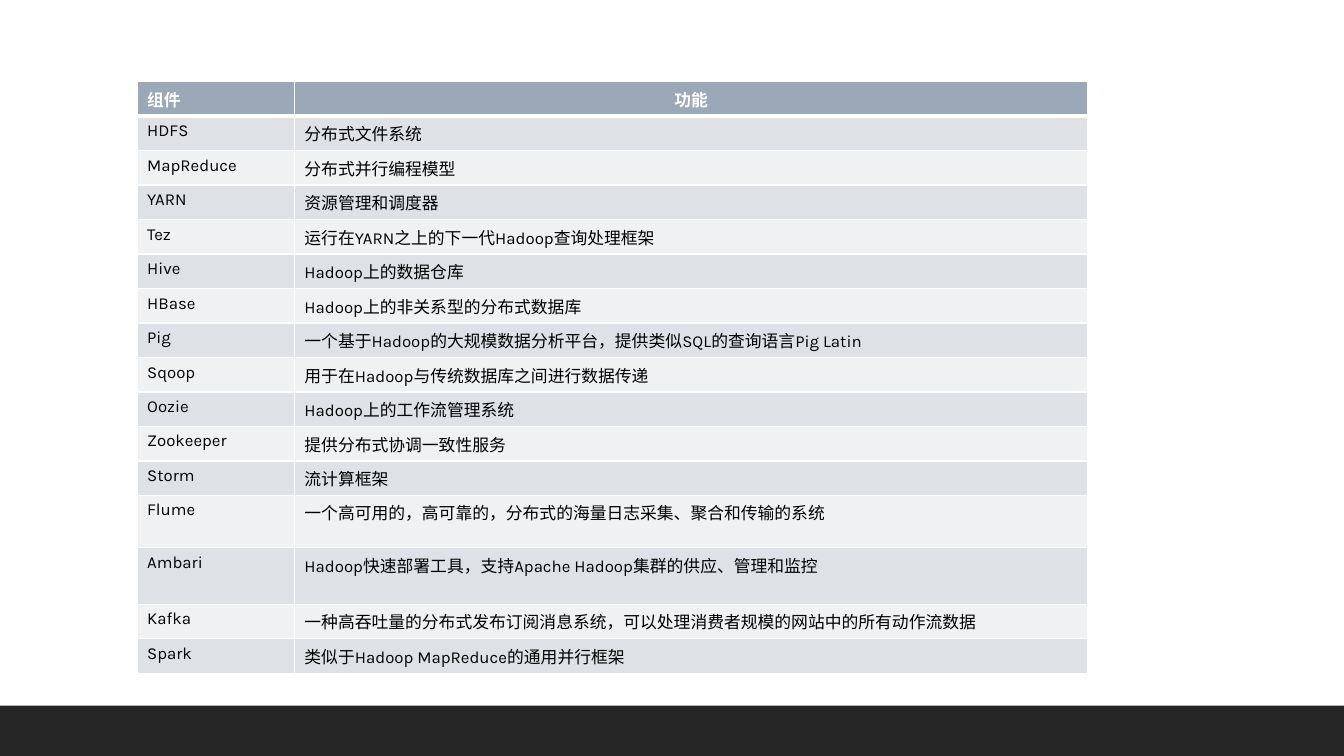
from dataclasses import dataclass

from lxml import etree
from pptx import Presentation
from pptx.dml.color import RGBColor
from pptx.enum.shapes import MSO_SHAPE
from pptx.enum.text import PP_ALIGN
from pptx.oxml.ns import qn
from pptx.util import Inches, Pt

RECT = MSO_SHAPE.RECTANGLE
LEFT, CENTER = PP_ALIGN.LEFT, PP_ALIGN.CENTER
WIDTH, HEIGHT = Inches(13.33), Inches(7.5)


@dataclass(frozen=True)
class Theme:
    font: str = "Karla"
    size: int = 12
    white: str = "FFFFFF"
    ink: str = "000000"
    bar: str = "262626"
    head: str = "9BA8B7"
    bands: tuple = ("DEE1E6", "EFF1F3")
    thin: int = 1
    thick: int = 3


def paint(fill, color):
    fill.solid()
    fill.fore_color.rgb = RGBColor.from_string(color)


def write(frame, text, *, font, size, color, bold=False, align=LEFT):
    para = frame.paragraphs[0]
    para.alignment = align
    run = para.add_run()
    run.text = text
    run.font.name = font
    run.font.size = Pt(size)
    run.font.bold = bold
    run.font.color.rgb = RGBColor.from_string(color)


def edge(cell, side, color, width):
    """Draw one cell border; side is L, R, T or B."""
    props = cell._tc.get_or_add_tcPr()
    line = etree.SubElement(props, qn(f"a:ln{side}"), w=str(Pt(width)))
    solid = etree.SubElement(line, qn("a:solidFill"))
    etree.SubElement(solid, qn("a:srgbClr"), val=color)


class Page:
    """Places elements by shares of the slide's width and height."""

    def __init__(self, slide, theme):
        self.slide = slide
        self.theme = theme

    def box(self, x, y, w, h):
        return (round(x * WIDTH), round(y * HEIGHT),
                round(w * WIDTH), round(h * HEIGHT))

    def bar(self, x, y, w, h):
        shape = self.slide.shapes.add_shape(RECT, *self.box(x, y, w, h))
        shape.shadow.inherit = False
        paint(shape.fill, self.theme.bar)
        shape.line.fill.background()

    def cell(self, cell, text, row, align):
        look = self.theme
        top = look.thick if row == 1 else look.thin
        base = look.thick if row == 0 else look.thin
        for side, width in zip("LRTB", (look.thin, look.thin, top, base)):
            edge(cell, side, look.white, width)
        head = row == 0
        paint(cell.fill, look.head if head else look.bands[(row - 1) % 2])
        write(cell.text_frame, text, font=look.font, size=look.size,
              color=look.white if head else look.ink, bold=head, align=align)

    def table(self, x, y, w, h, data, cols, tall):
        """Fill a table; cols are shares of w, tall maps rows to shares of h."""
        left, top, wide, high = self.box(x, y, w, h)
        grid = self.slide.shapes.add_table(
            len(data), len(cols), left, top, wide, high).table
        for col, share in zip(grid.columns, cols):
            col.width = round(share * wide)
        plain = (1 - sum(tall.values())) / (len(data) - len(tall))
        for i, texts in enumerate(data):
            grid.rows[i].height = round(tall.get(texts[0], plain) * high)
            for j, text in enumerate(texts):
                align = CENTER if i == 0 and j == 1 else LEFT
                self.cell(grid.cell(i, j), text, i, align)


PARTS = [
    ("组件", "功能"),
    ("HDFS", "分布式文件系统"),
    ("MapReduce", "分布式并行编程模型"),
    ("YARN", "资源管理和调度器"),
    ("Tez", "运行在YARN之上的下一代Hadoop查询处理框架"),
    ("Hive", "Hadoop上的数据仓库"),
    ("HBase", "Hadoop上的非关系型的分布式数据库"),
    ("Pig", "一个基于Hadoop的大规模数据分析平台，提供类似SQL的查询语言Pig Latin"),
    ("Sqoop", "用于在Hadoop与传统数据库之间进行数据传递"),
    ("Oozie", "Hadoop上的工作流管理系统"),
    ("Zookeeper", "提供分布式协调一致性服务"),
    ("Storm", "流计算框架"),
    ("Flume", "一个高可用的，高可靠的，分布式的海量日志采集、聚合和传输的系统"),
    ("Ambari", "Hadoop快速部署工具，支持Apache Hadoop集群的供应、管理和监控"),
    ("Kafka", "一种高吞吐量的分布式发布订阅消息系统，可以处理消费者规模的网站中的所有动作流数据"),
    ("Spark", "类似于Hadoop MapReduce的通用并行框架"),
]


def main():
    deck = Presentation()
    deck.slide_width, deck.slide_height = WIDTH, HEIGHT
    page = Page(deck.slides.add_slide(deck.slide_layouts[6]), Theme())
    page.bar(0, 14 / 15, 1, 1 / 15)
    page.table(1.36 / 13.33, 0.81 / 7.5, 9.43 / 13.33, 5.77 / 7.5, PARTS,
               cols=(1.56 / 9.43, 7.87 / 9.43),
               tall={"Flume": 0.52 / 5.77, "Ambari": 0.56 / 5.77})
    deck.save("out.pptx")


if __name__ == "__main__":
    main()
